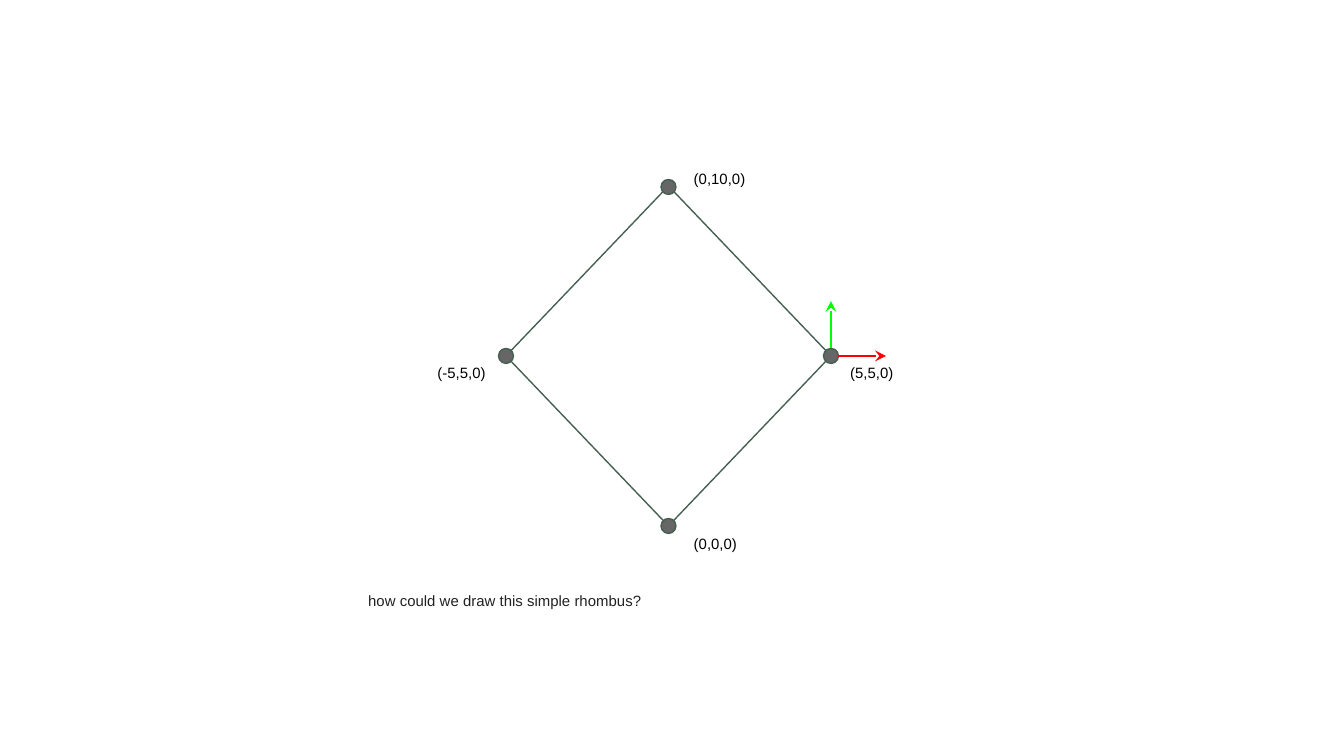
from pptx import Presentation, util as u
from pptx.dml.color import RGBColor
from pptx.enum import shapes as s, text as t
from pptx.oxml.ns import qn
from lxml import etree

PX = 914400 / 134.4
GREEN = RGBColor(0x45, 0x5F, 0x51)
GREY = RGBColor(0x66, 0x66, 0x66)
INK = RGBColor(0x20, 0x21, 0x22)
BLACK = RGBColor(0, 0, 0)
LIME = RGBColor(0, 0xFF, 0)
RED = RGBColor(0xFF, 0, 0)
DOT = 15


def emu(*nums):
    return [u.Emu(round(n * PX)) for n in nums]


def add_shape(slide, kind, box, fill=None):
    shape = slide.shapes.add_shape(kind, *emu(*box))
    shape.shadow.inherit = False
    if fill is None:
        shape.fill.background()
    else:
        shape.fill.solid()
        shape.fill.fore_color.rgb = fill
    shape.line.color.rgb = GREEN
    shape.line.width = u.Pt(0.75)


def add_text(slide, box, words, color, anchor, align=t.PP_ALIGN.LEFT):
    frame = slide.shapes.add_textbox(*emu(*box)).text_frame
    frame.word_wrap = True
    frame.vertical_anchor = anchor
    frame.margin_left = frame.margin_right = u.Inches(0.1)
    frame.margin_top = frame.margin_bottom = u.Inches(0.1)
    frame.text = words
    para = frame.paragraphs[0]
    para.alignment = align
    font = para.runs[0].font
    font.name = "Arial"
    font.size = u.Pt(8)
    font.color.rgb = color


def add_arrow(slide, start, end, color):
    arrow = slide.shapes.add_connector(
        s.MSO_CONNECTOR.STRAIGHT, *emu(*start, *end))
    arrow.line.color.rgb = color
    arrow.line.width = u.Pt(0.75)
    props = arrow._element.spPr
    etree.SubElement(props.find(qn("a:ln")), qn("a:tailEnd"), type="stealth")
    etree.SubElement(props, qn("a:effectLst"))


def add_rhombus(slide, left, top, width, height):
    add_shape(slide, s.MSO_SHAPE.DIAMOND, (left, top, width, height))
    mid_x, mid_y = left + width / 2, top + height / 2
    right = left + width
    near, far = t.PP_ALIGN.LEFT, t.PP_ALIGN.RIGHT
    corners = [
        (left, mid_y, "(-5,5,0)", -96, 7, far),
        (mid_x, top + 1, "(0,10,0)", 12, -18, near),
        (right, mid_y, "(5,5,0)", 6, 7, near),
        (mid_x, top + height, "(0,0,0)", 12, 8, near),
    ]
    for x, y, label, dx, dy, align in corners:
        add_shape(slide, s.MSO_SHAPE.OVAL,
                  (x - DOT / 2, y - DOT / 2, DOT, DOT), GREY)
        add_text(slide, (x + dx, y + dy, 89, 20), label, BLACK,
                 t.MSO_ANCHOR.MIDDLE, align)
    add_arrow(slide, (right, mid_y - DOT / 2), (right, mid_y - 55), LIME)
    add_arrow(slide, (right + DOT / 2, mid_y), (right + 55, mid_y), RED)


def main():
    deck = Presentation()
    deck.slide_width, deck.slide_height = emu(1344, 756)
    slide = deck.slides.add_slide(deck.slide_layouts[6])
    add_rhombus(slide, 506, 186, 325, 340)
    add_text(slide, (355, 583, 525, 46),
             "how could we draw this simple rhombus?", INK, t.MSO_ANCHOR.TOP)
    deck.save("out.pptx")


if __name__ == "__main__":
    main()
